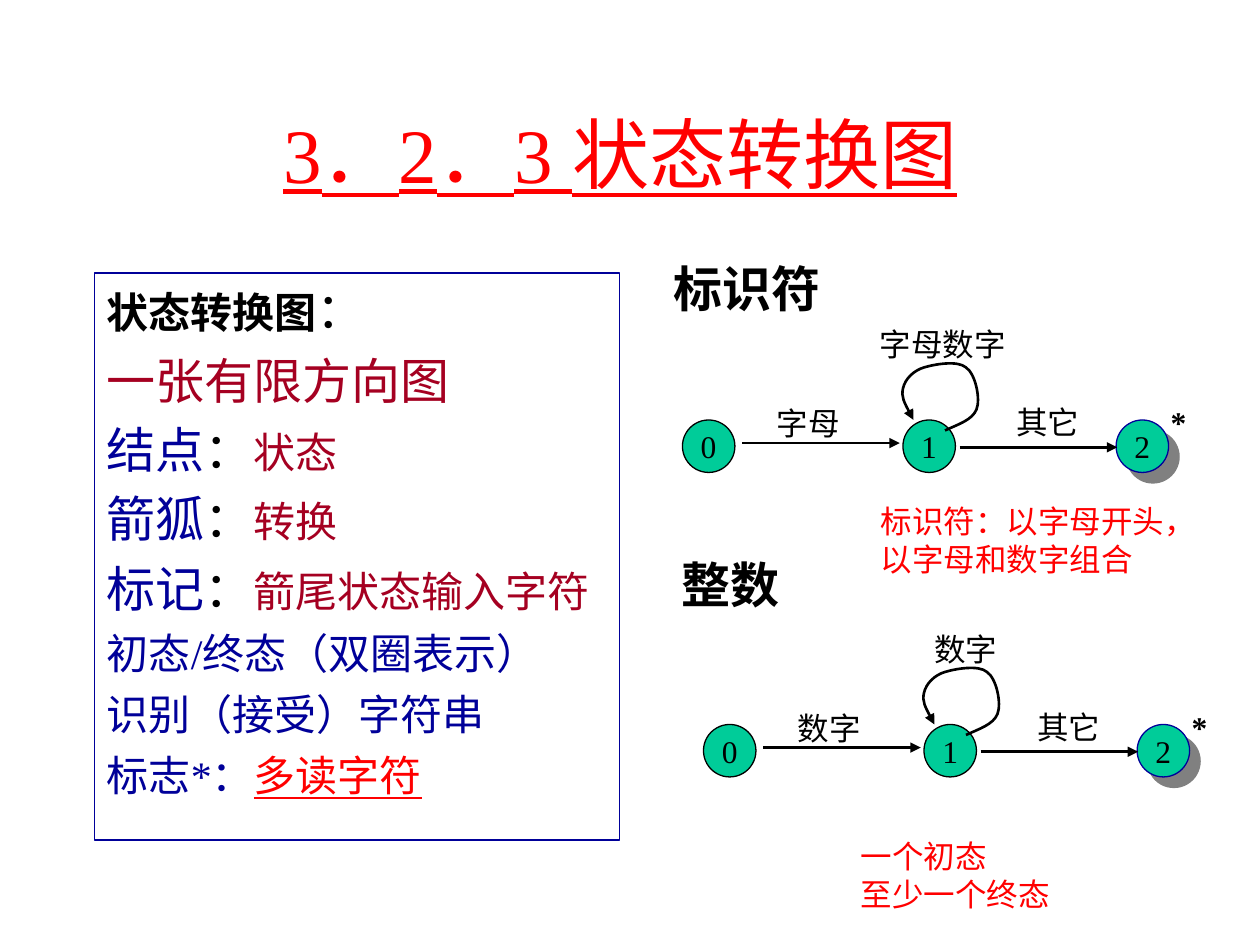
from lxml.etree import SubElement
from pptx import Presentation
from pptx.dml.color import RGBColor
from pptx.enum.shapes import MSO_CONNECTOR, MSO_SHAPE
from pptx.enum.text import MSO_ANCHOR, PP_ALIGN
from pptx.oxml.ns import qn
from pptx.util import Pt

PX = 7620
FONT = "Times New Roman"
HUES = {"ink": "000000", "red": "FF0000", "navy": "000099", "wine": "A50021",
        "node": "00CC99", "shade": "808080"}
LOOP = [(250, 10), (263, 4), (276, 0), (280, -10), (284, -20), (279, -44),
        (270, -50), (262, -57), (240, -53), (230, -50), (220, -47), (212, -39),
        (210, -30), (208, -22), (214, -11), (220, 0)]
TERMS = [
    [("状态转换图", 24, "ink", True), ("：", 28, "ink")],
    [("一张有限方向图", 28, "wine")],
    [("结点", 28, "navy"), ("：", 28, "ink"), ("状态", 24, "wine")],
    [("箭狐", 28, "navy"), ("：", 28, "ink"), ("转换", 24, "wine")],
    [("标记", 28, "navy"), ("：", 28, "ink"), ("箭尾状态输入字符", 24, "wine")],
    [("初态/终态（双圈表示）", 24, "navy")],
    [("识别（接受）字符串", 24, "navy")],
    [("标志*：", 24, "navy"), ("多读字符", 24, "red", False, True)],
]


def scale(*vals):
    """Turn px lengths into EMU."""
    return [val * PX for val in vals]


def hue(name):
    """Return the named colour."""
    return RGBColor.from_string(HUES[name])


def style(run, size, tint="ink", bold=False, under=False):
    """Format one run."""
    font = run.font
    font.name, font.size, font.bold = FONT, Pt(size), bold
    font.underline = under
    font.color.rgb = hue(tint)


def label(slide, box, text, size=18, tint="ink", bold=False, under=False):
    """Add a text box in one style and return its frame."""
    frame = slide.shapes.add_textbox(*scale(*box)).text_frame
    frame.word_wrap = True
    frame.text = text
    for para in frame.paragraphs:
        style(para.runs[0], size, tint, bold, under)
    return frame


def stroke(line, tint="ink", width=1.5):
    """Set the colour and width of a line."""
    line.color.rgb = hue(tint)
    line.width = Pt(width)


def tip(shape):
    """Put an arrowhead on the end of a line."""
    line = shape.element.spPr.find(qn("a:ln"))
    SubElement(line, qn("a:tailEnd"), type="triangle")


def title(slide, box):
    """Add the centred slide title."""
    frame = label(slide, box, "3．2．3 状态转换图", 44, "red", under=True)
    frame.vertical_anchor = MSO_ANCHOR.MIDDLE
    frame.margin_right = 30 * PX
    frame.paragraphs[0].alignment = PP_ALIGN.CENTER


def panel(slide, box):
    """Add the framed list of terms."""
    shape = slide.shapes.add_textbox(*scale(*box))
    stroke(shape.line, "navy", 0.75)
    frame = shape.text_frame
    frame.word_wrap = True
    for row, parts in enumerate(TERMS):
        para = frame.add_paragraph() if row else frame.paragraphs[0]
        if row:
            para.space_before = Pt(7 if row == 1 else 6)
        for text, *look in parts:
            run = para.add_run()
            run.text = text
            style(run, *look)


def shade(shape):
    """Give a shape a hard shadow to the lower right."""
    glow = shape.element.spPr.find(qn("a:effectLst"))
    drop = SubElement(glow, qn("a:outerShdw"), dist=str(Pt(8.5)),
                      dir="2700000", algn="ctr", rotWithShape="0")
    SubElement(drop, qn("a:srgbClr"), val=HUES["shade"])


def node(slide, left, top, text, final=False):
    """Add one state circle."""
    shape = slide.shapes.add_shape(MSO_SHAPE.OVAL, *scale(left, top, 50, 50))
    shape.shadow.inherit = False
    shape.fill.solid()
    shape.fill.fore_color.rgb = hue("node")
    stroke(shape.line, "navy" if final else "ink", 0.75)
    if final:
        shade(shape)
    frame = shape.text_frame
    frame.word_wrap = False
    frame.vertical_anchor = MSO_ANCHOR.MIDDLE
    frame.text = text
    frame.paragraphs[0].alignment = PP_ALIGN.CENTER
    style(frame.paragraphs[0].runs[0], 18)


def arrow(slide, left, top, width):
    """Add a level arrow to the right."""
    ends = scale(left, top, left + width, top)
    line = slide.shapes.add_connector(MSO_CONNECTOR.STRAIGHT, *ends)
    stroke(line.line)
    tip(line)
    SubElement(line.element.spPr, qn("a:effectLst"))


def loop(slide, left, top):
    """Add the curved arrow from the middle state to itself."""
    spots = [(left + x, top + y) for x, y in LOOP]
    pen = slide.shapes.build_freeform(*spots[0], scale=PX)
    pen.add_line_segments(spots[1:], close=False)
    shape = pen.convert_to_shape()
    shape.shadow.inherit = False
    shape.fill.background()
    stroke(shape.line)
    tip(shape)
    legs = list(shape.element.iter(qn("a:lnTo")))
    route = legs[0].getparent()
    for start in range(0, len(legs), 3):
        curve = SubElement(route, qn("a:cubicBezTo"))
        for leg in legs[start:start + 3]:
            curve.append(leg[0])
            route.remove(leg)


def graph(slide, left, top, first, again):
    """Add a three-state diagram with its labels."""
    for step, text in ((0, "0"), (210, "1"), (413, "2")):
        node(slide, left + step, top, text, text == "2")
    arrow(slide, left + 57, top + 22, 150)
    arrow(slide, left + 264, top + 26, 150)
    loop(slide, left, top)
    label(slide, (left + 78, top - 21, 100, 48), first)
    label(slide, (left + 306, top - 22, 92, 48), "其它")
    label(slide, (left + again[1], top - 96, again[2], 48), again[0])
    label(slide, (left + 453, top - 22, 40, 48), "*", bold=True)


def main():
    """Build and save the slide."""
    deck = Presentation()
    deck.slide_width, deck.slide_height = scale(1200, 900)
    slide = deck.slides.add_slide(deck.slide_layouts[6])
    title(slide, (90, 70, 1020, 150))
    panel(slide, (90, 260, 500, 540))
    graph(slide, 650, 400, "字母", ("字母数字", 176, 180))
    graph(slide, 670, 690, "数字", ("数字", 208, 95))
    label(slide, (630, 240, 180, 68), "标识符", 28, bold=True)
    label(slide, (637, 522, 140, 68), "整数", 28, bold=True)
    label(slide, (827, 472, 330, 84), "标识符：以字母开头，\n以字母和数字组合", tint="red")
    label(slide, (808, 791, 234, 84), "一个初态\n至少一个终态", tint="red")
    deck.save("out.pptx")


if __name__ == "__main__":
    main()
